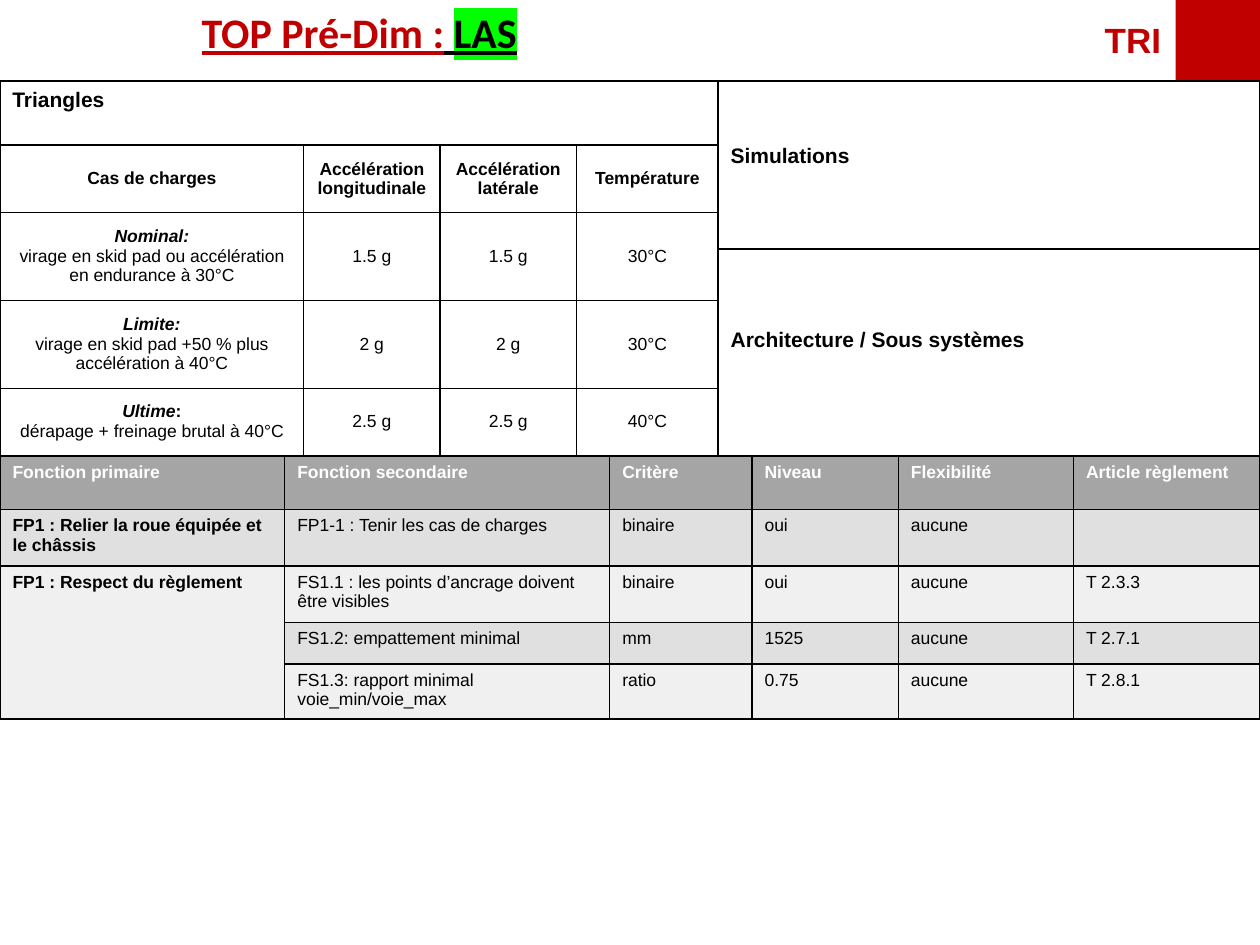
from dataclasses import dataclass
from typing import NamedTuple

import pptx
import pptx.dml.color
import pptx.enum.shapes
import pptx.enum.text
import pptx.oxml
import pptx.oxml.ns
import pptx.util

Cm = pptx.util.Cm
Pt = pptx.util.Pt
RGBColor = pptx.dml.color.RGBColor
Anchor = pptx.enum.text.MSO_ANCHOR
Align = pptx.enum.text.PP_ALIGN
RECTANGLE = pptx.enum.shapes.MSO_SHAPE.RECTANGLE

RED = RGBColor(0xC0, 0x00, 0x00)
BLACK = RGBColor(0x00, 0x00, 0x00)
WHITE = RGBColor(0xFF, 0xFF, 0xFF)
HEADER_GREY = RGBColor(0xA5, 0xA5, 0xA5)
DARK_BAND = RGBColor(0xE0, 0xE0, 0xE0)
LIGHT_BAND = RGBColor(0xF0, 0xF0, 0xF0)
GREEN = RGBColor(0x00, 0xFF, 0x00)

SPLIT = 14.48  # boundary between the left and right halves, in cm
PANEL_TOP = 1.63


class Run(NamedTuple):
    text: str
    bold: bool = False
    italic: bool = False


Paragraphs = list[list[Run]]


@dataclass
class Panel:
    heading: str
    left: float
    top: float
    width: float
    height: float
    anchor: Anchor = Anchor.MIDDLE
    bottom_inset: float = 0.13


@dataclass
class Grid:
    left: float
    top: float
    columns: list[float]
    rows: list[float]
    border: float


def plain(text: str, bold: bool = False) -> Paragraphs:
    return [[Run(text, bold)]] if text else []


def add_run(paragraph, run: Run, size: float, colour: RGBColor, face: str = "Arial"):
    piece = paragraph.add_run()
    piece.text = run.text
    piece.font.size = Pt(size)
    piece.font.name = face
    piece.font.bold = run.bold
    piece.font.italic = run.italic
    piece.font.color.rgb = colour
    return piece


def highlight(piece, colour: RGBColor) -> None:
    mark = pptx.oxml.parse_xml(
        f'<a:highlight {pptx.oxml.ns.nsdecls("a")}><a:srgbClr val="{colour}"/></a:highlight>')
    piece.font._element.find(pptx.oxml.ns.qn("a:solidFill")).addnext(mark)


def draw_panel(slide, panel: Panel) -> None:
    box = slide.shapes.add_shape(
        RECTANGLE, Cm(panel.left), Cm(panel.top), Cm(panel.width), Cm(panel.height))
    box.shadow.inherit = False
    box.fill.background()
    box.line.color.rgb = BLACK
    box.line.width = Pt(1)
    frame = box.text_frame
    frame.word_wrap = True
    frame.vertical_anchor = panel.anchor
    frame.margin_bottom = Cm(panel.bottom_inset)
    frame.paragraphs[0].alignment = Align.LEFT
    add_run(frame.paragraphs[0], Run(panel.heading, True), 12, BLACK)


def outline_cell(cell, width: float) -> None:
    properties = cell._tc.get_or_add_tcPr()
    for position, side in enumerate(("lnL", "lnR", "lnT", "lnB")):
        properties.insert(position, pptx.oxml.parse_xml(
            f'<a:{side} {pptx.oxml.ns.nsdecls("a")} w="{Pt(width)}">'
            f'<a:solidFill><a:srgbClr val="{BLACK}"/></a:solidFill></a:{side}>'))


def fill_cell(cell, paragraphs: Paragraphs, colour: RGBColor = BLACK,
              alignment: Align = Align.LEFT) -> None:
    frame = cell.text_frame
    for index, runs in enumerate(paragraphs):
        paragraph = frame.add_paragraph() if index else frame.paragraphs[0]
        paragraph.alignment = alignment
        for run in runs:
            add_run(paragraph, run, 10, colour)
    if not paragraphs:
        # An empty cell would otherwise take the height of an 18 pt line.
        frame.paragraphs[0]._p.append(pptx.oxml.parse_xml(
            f'<a:endParaRPr {pptx.oxml.ns.nsdecls("a")} sz="1000"/>'))


def add_grid(slide, grid: Grid):
    table = slide.shapes.add_table(
        len(grid.rows), len(grid.columns), Cm(grid.left), Cm(grid.top),
        Cm(sum(grid.columns)), Cm(sum(grid.rows))).table
    for column, width in zip(table.columns, grid.columns):
        column.width = Cm(width)
    for row, height in zip(table.rows, grid.rows):
        row.height = Cm(height)
    for cell in table.iter_cells():
        cell.fill.background()
        outline_cell(cell, grid.border)
    return table


def draw_functions(slide) -> None:
    content = [
        ["Fonction primaire", "Fonction secondaire", "Critère", "Niveau", "Flexibilité",
         "Article règlement"],
        ["FP1 : Relier la roue équipée et le châssis", "FP1-1 : Tenir les cas de charges",
         "binaire", "oui", "aucune", ""],
        ["FP1 : Respect du règlement", "FS1.1 : les points d’ancrage doivent être visibles",
         "binaire", "oui", "aucune", "T 2.3.3"],
        ["", "FS1.2: empattement minimal", "mm", "1525", "aucune", "T 2.7.1"],
        ["", "FS1.3: rapport minimal voie_min/voie_max", "ratio", "0.75", "aucune", "T 2.8.1"],
    ]
    table = add_grid(slide, Grid(0, 9.2, [5.74, 6.55, 2.87, 2.95, 3.53, 3.76],
                                 [1.07, 1.14, 1.14, 0.84, 1.04], 1))
    for r, values in enumerate(content):
        band = HEADER_GREY if r == 0 else DARK_BAND if r % 2 else LIGHT_BAND
        for c, value in enumerate(values):
            cell = table.cell(r, c)
            cell.fill.solid()
            cell.fill.fore_color.rgb = band
            fill_cell(cell, plain(value, r == 0 or c == 0), BLACK if r else WHITE)
    table.cell(2, 0).merge(table.cell(4, 0))


def draw_load_cases(slide) -> None:
    headings = ["Cas de charges", "Accélération longitudinale", "Accélération latérale",
                "Température"]
    cases = [
        ([Run("Nominal:", True, True)],
         "virage en skid pad ou accélération en endurance à 30°C", "1.5 g", "30°C"),
        ([Run("Limite:", True, True)],
         "virage en skid pad +50 % plus accélération à 40°C", "2 g", "30°C"),
        ([Run("Ultime", True, True), Run(":", True)],
         "dérapage + freinage brutal à 40°C", "2.5 g", "40°C"),
    ]
    content = [[plain(heading, True) for heading in headings]]
    for name, description, acceleration, temperature in cases:
        content.append([[name, [Run(description)]], plain(acceleration),
                        plain(acceleration), plain(temperature)])
    table = add_grid(slide, Grid(0, 2.93, [6.12, 2.75, 2.75, 2.86],
                                 [1.29, 1.71, 1.71, 1.29], 0.75))
    for r, row in enumerate(content):
        for c, paragraphs in enumerate(row):
            cell = table.cell(r, c)
            cell.vertical_anchor = Anchor.MIDDLE
            cell.margin_top = cell.margin_bottom = Cm(0.25)
            fill_cell(cell, paragraphs, alignment=Align.CENTER)


def draw_header(slide) -> None:
    title = slide.shapes.title
    title.left, title.top, title.width, title.height = Cm(0), Cm(0), Cm(SPLIT), Cm(1.27)
    frame = title.text_frame
    frame.auto_size = pptx.enum.text.MSO_AUTO_SIZE.NONE
    frame.vertical_anchor = Anchor.TOP
    heading = frame.paragraphs[0]
    heading.alignment = Align.CENTER
    for text, colour in (("TOP Pré-Dim :", RED), (" ", BLACK), ("LAS", BLACK)):
        piece = add_run(heading, Run(text, True), 24, colour, "Calibri")
        piece.font.underline = True
    highlight(piece, GREEN)

    section = slide.shapes.add_textbox(Cm(22.02), Cm(0.25), Cm(1.7), Cm(1.12))
    section.text_frame.word_wrap = False
    add_run(section.text_frame.paragraphs[0], Run("TRI", True), 20, RED)

    corner = slide.shapes.add_shape(RECTANGLE, Cm(23.7), Cm(0), Cm(1.7), Cm(1.65))
    corner.shadow.inherit = False
    corner.fill.solid()
    corner.fill.fore_color.rgb = RED
    corner.line.fill.background()


def main() -> None:
    deck = pptx.Presentation()
    deck.slide_width, deck.slide_height = Cm(25.4), Cm(19.05)
    slide = deck.slides.add_slide(deck.slide_layouts[5])
    draw_header(slide)
    right_width = 25.4 - SPLIT
    draw_panel(slide, Panel("Triangles", 0, PANEL_TOP, SPLIT, 1.3, Anchor.TOP))
    draw_functions(slide)
    draw_load_cases(slide)
    draw_panel(slide, Panel("Simulations", SPLIT, PANEL_TOP, right_width, 3.39,
                            bottom_inset=0.53))
    draw_panel(slide, Panel("Architecture / Sous systèmes", SPLIT, 5.02, right_width, 4.18,
                            bottom_inset=0.69))
    deck.save("out.pptx")


if __name__ == "__main__":
    main()
